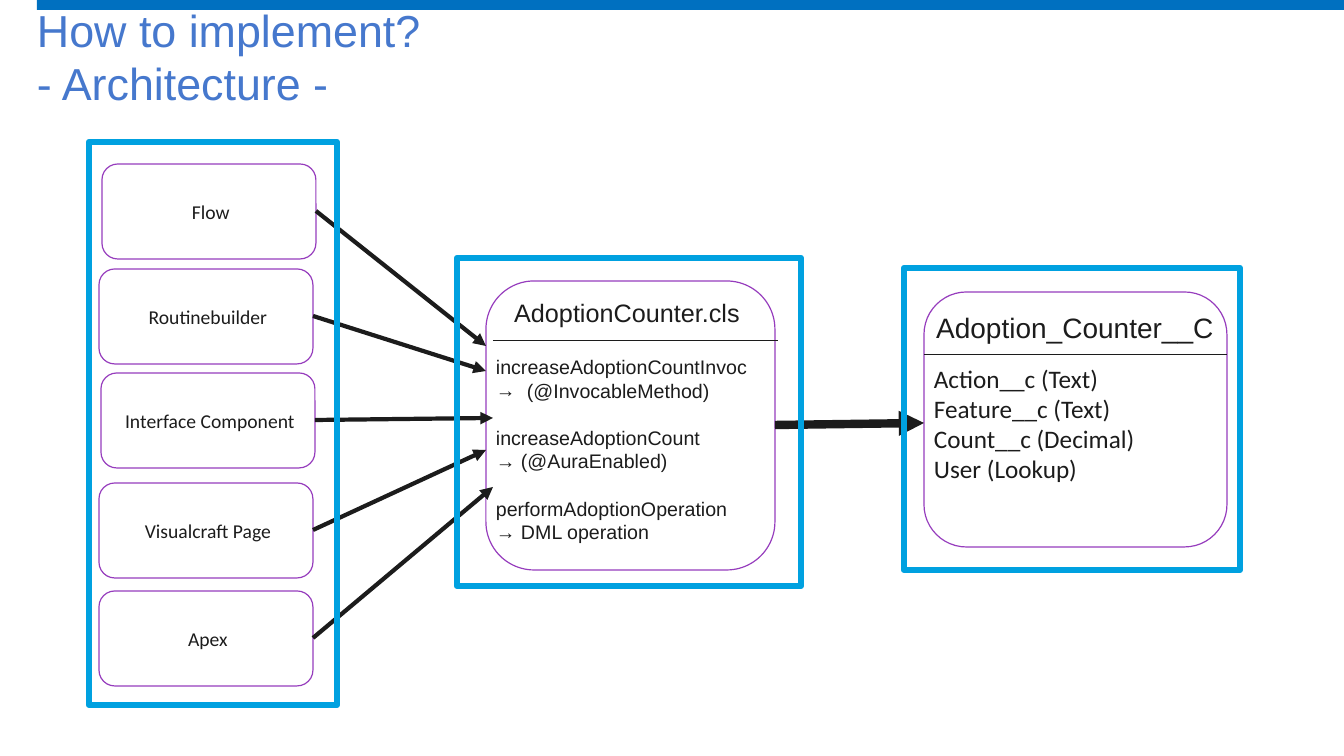
from lxml import etree
from pptx import Presentation, util as u
from pptx.dml.color import RGBColor
from pptx.enum import shapes, text
from pptx.oxml import ns

PX = 12192000 / 1344  # EMU in one px

INK = RGBColor(0x1C, 0x1C, 0x1C)
WHITE = RGBColor(0xFF, 0xFF, 0xFF)
PURPLE = RGBColor(0x96, 0x3C, 0xBD)
SKY = RGBColor(0x00, 0xA1, 0xE0)
BLUE = RGBColor(0x00, 0x70, 0xC0)
TITLE_BLUE = RGBColor(0x46, 0x78, 0xCD)

CENTER = text.PP_ALIGN.CENTER
LEFT = text.PP_ALIGN.LEFT
RECT = shapes.MSO_SHAPE.RECTANGLE
ROUNDED = shapes.MSO_SHAPE.ROUNDED_RECTANGLE

# Caption, left, top, and where its arrow ends
CALLERS = [
    ("Flow", 102, 164, (486, 346)),
    ("Routinebuilder", 99, 269, (486, 371)),
    ("Interface Component", 101, 373, (493, 418)),
    ("Visualcraft Page", 99, 483, (486, 450)),
    ("Apex", 99, 591, (493, 487)),
]
CALLER_W, CALLER_H = 214, 95

METHODS = [
    ("increaseAdoptionCountInvoc", "(@InvocableMethod)"),
    ("increaseAdoptionCount", "→ (@AuraEnabled)"),
    ("performAdoptionOperation", "→ DML operation"),
]
FIELDS = ["Action__c (Text)", "Feature__c (Text)", "Count__c (Decimal)", "User (Lookup)"]


def px(n):
    return u.Emu(round(n * PX))


def add_box(s, kind, x, y, w, h, fill=None, line=None, width=0.85):
    sp = s.shapes.add_shape(kind, px(x), px(y), px(w), px(h))
    sp.shadow.inherit = False
    if fill is None:
        sp.fill.background()
    else:
        sp.fill.solid()
        sp.fill.fore_color.rgb = fill
    if line is None:
        sp.line.fill.background()
    else:
        sp.line.color.rgb = line
        sp.line.width = u.Pt(width)
    return sp


def add_run(p, words, size, font="Arial", color=INK):
    r = p.add_run()
    r.text = words
    r.font.size = u.Pt(size)
    r.font.name = font
    r.font.color.rgb = color


def add_lines(s, x, y, w, h, lines, size, font="Arial", align=LEFT):
    """Text box with one paragraph for each line."""
    tf = s.shapes.add_textbox(px(x), px(y), px(w), px(h)).text_frame
    tf.word_wrap = True
    for i, words in enumerate(lines):
        p = tf.paragraphs[0] if i == 0 else tf.add_paragraph()
        p.alignment = align
        add_run(p, words, size, font)
    return tf


def add_line(s, start, end, width, arrow=False):
    c = s.shapes.add_connector(shapes.MSO_CONNECTOR.STRAIGHT, *map(px, start + end))
    c.line.color.rgb = INK
    c.line.width = u.Pt(width)
    if arrow:
        ln = c._element.spPr.find(ns.qn("a:ln"))
        etree.SubElement(ln, ns.qn("a:tailEnd"), type="triangle")
    etree.SubElement(c._element.spPr, ns.qn("a:effectLst"))


def add_arrow_bullet(p):
    pPr = p._p.get_or_add_pPr()
    pPr.set("marL", str(px(31)))
    pPr.set("indent", str(px(-31)))
    etree.SubElement(pPr, ns.qn("a:buFont"), typeface="Arial")
    etree.SubElement(pPr, ns.qn("a:buChar"), char="→")


def add_title(s):
    tf = s.shapes.add_textbox(px(37), px(10), px(1269), px(100)).text_frame
    tf.word_wrap = True
    tf.vertical_anchor = text.MSO_ANCHOR.BOTTOM
    tf.margin_left = tf.margin_top = tf.margin_right = tf.margin_bottom = 0
    p = tf.paragraphs[0]
    add_run(p, "How to implement?", 32, color=TITLE_BLUE)
    p.add_line_break()
    add_run(p, "- Architecture -", 32, color=TITLE_BLUE)


def add_caller(s, caption, x, y):
    sp = add_box(s, ROUNDED, x, y, CALLER_W, CALLER_H, WHITE, PURPLE)
    tf = sp.text_frame
    tf.word_wrap = True
    tf.vertical_anchor = text.MSO_ANCHOR.MIDDLE
    tf.margin_left, tf.margin_right = px(12), px(8)
    p = tf.paragraphs[0]
    p.alignment = CENTER
    add_run(p, caption, 14, "Calibri")


def add_class_card(s):
    add_box(s, ROUNDED, 486, 281, 289, 289, WHITE, PURPLE)
    add_lines(s, 476, 292, 302, 40, ["AdoptionCounter.cls"], 18, align=CENTER)
    add_line(s, (493, 341), (778, 341), 0.75)
    lines = [words for method in METHODS for words in method]
    tf = add_lines(s, 486, 350, 281, 201, lines, 14)
    for p in tf.paragraphs[2::2]:
        p.space_before = u.Pt(17)
    add_arrow_bullet(tf.paragraphs[1])


def add_object_card(s):
    add_box(s, ROUNDED, 924, 292, 303, 255, WHITE, PURPLE)
    add_lines(s, 924, 306, 302, 44, ["Adoption_Counter__C"], 20, align=CENTER)
    add_line(s, (924, 355), (1227, 355), 0.75)
    add_lines(s, 924, 358, 261, 132, FIELDS, 18, "Calibri")


def main():
    prs = Presentation()
    prs.slide_width, prs.slide_height = px(1344), px(756)
    s = prs.slides.add_slide(prs.slide_layouts[6])

    # Header
    add_box(s, RECT, 37, 0, 1307, 10, BLUE)
    add_title(s)

    # Cards
    add_object_card(s)
    for caption, x, y, _ in CALLERS:
        add_caller(s, caption, x, y)
    add_class_card(s)

    # Arrows
    add_line(s, (775, 425), (924, 423), 6, arrow=True)
    for _, x, y, end in CALLERS:
        add_line(s, (x + CALLER_W, y + CALLER_H // 2), end, 3, arrow=True)

    # Frames around the three stages
    for frame in [(904, 268, 336, 302), (457, 258, 344, 328), (89, 142, 248, 563)]:
        add_box(s, RECT, *frame, line=SKY, width=4.5)

    prs.save("out.pptx")


if __name__ == "__main__":
    main()
